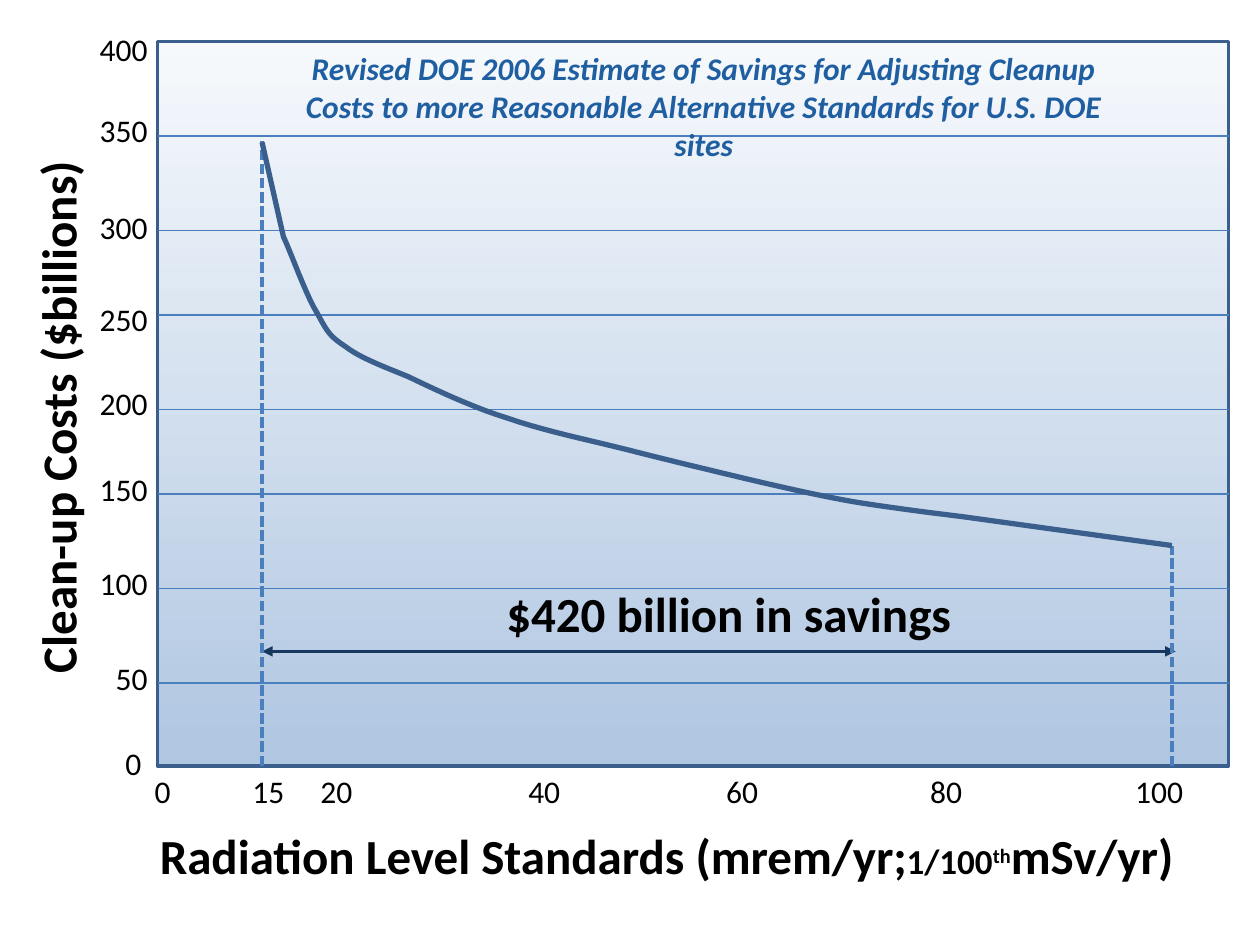
import pptx
import pptx.util
import pptx.dml.color
import pptx.enum.dml
import pptx.enum.shapes
import pptx.enum.text
import pptx.oxml.ns
from dataclasses import dataclass
from lxml import etree
from pptx.util import Inches

ALIGN = pptx.enum.text.PP_ALIGN


@dataclass(frozen=True)
class Theme:
    """Colours, font and type sizes of the slide."""
    font: str = "Calibri"
    black: str = "000000"
    white: str = "FFFFFF"
    title: str = "1F5FA1"
    frame: str = "3A5F8C"
    grid: str = "4B7EBC"
    arrow: str = "17375E"
    fade: tuple = ("F6F9FC", "B0C6E1")
    small: int = 18
    medium: int = 20
    large: int = 28


@dataclass(frozen=True)
class Box:
    """A region measured in inches."""
    left: float
    top: float
    width: float
    height: float

    @property
    def right(self):
        """Return the right edge."""
        return self.left + self.width

    @property
    def bottom(self):
        """Return the bottom edge."""
        return self.top + self.height


THEME = Theme()

GRID_OFFSETS = (0.75, 1.5, 2.17, 2.92, 3.59, 4.34, 5.09)
COST_TICKS = {400: 0.06, 350: 0.7, 300: 1.47, 250: 2.2, 200: 2.87,
              150: 3.55, 100: 4.3, 50: 5.05, 0: 5.73}
LEVEL_TICKS = {0: 0.04, 15: 0.88, 20: 1.42, 40: 3.07, 60: 4.64, 80: 6.26, 100: 7.95}
LIMIT_OFFSETS = ((0.83, 0.79), (8.05, 4.0))
CURVE_START = [(0.83, 0.8), (1.0, 1.55)]
CURVE_BENDS = [
    ((1.05, 1.65), (1.18, 2.02), (1.27, 2.16)),
    ((1.35, 2.31), (1.37, 2.34), (1.49, 2.42)),
    ((1.61, 2.51), (1.77, 2.57), (1.99, 2.66)),
    ((2.2, 2.76), (2.49, 2.9), (2.78, 2.99)),
    ((3.07, 3.09), (3.41, 3.16), (3.73, 3.24)),
    ((4.04, 3.32), (4.38, 3.4), (4.67, 3.47)),
    ((4.97, 3.54), (5.23, 3.6), (5.51, 3.65)),
    ((5.8, 3.7), (6.38, 3.77), (6.38, 3.77)),
]
CURVE_END = [(7.32, 3.9), (8.05, 4.0)]


def colour(value):
    """Turn a hex string into a colour."""
    return pptx.dml.color.RGBColor.from_string(value)


def style_line(line, value, width):
    """Set the colour and width of a line."""
    line.color.rgb = colour(value)
    line.width = pptx.util.Pt(width)


def add_line(page, start, end, value, width):
    """Draw a straight line without shadow."""
    line = page.shapes.add_connector(
        pptx.enum.shapes.MSO_CONNECTOR.STRAIGHT, *map(Inches, start + end))
    style_line(line.line, value, width)
    etree.SubElement(line._element.spPr, pptx.oxml.ns.qn("a:effectLst"))
    return line


def add_text(page, box, text, size, align=ALIGN.LEFT, bold=False, value=THEME.black):
    """Place one paragraph of text and return its shape."""
    shape = page.shapes.add_textbox(*map(Inches, (box.left, box.top, box.width, box.height)))
    shape.text_frame.word_wrap = True
    para = shape.text_frame.paragraphs[0]
    para.text = text
    para.alignment = align
    para.font.name = THEME.font
    para.font.size = pptx.util.Pt(size)
    para.font.bold = bold
    para.font.color.rgb = colour(value)
    return shape


def fill_white(shape):
    """Give a shape a white fill."""
    shape.fill.solid()
    shape.fill.fore_color.rgb = colour(THEME.white)


def add_plot_area(page, box):
    """Draw the shaded frame and its grid lines."""
    frame = page.shapes.add_shape(
        pptx.enum.shapes.MSO_SHAPE.RECTANGLE,
        *map(Inches, (box.left, box.top, box.width, box.height)))
    frame.shadow.inherit = False
    frame.fill.gradient()
    frame.fill.gradient_angle = 270
    for stop, value, position in zip(frame.fill.gradient_stops, THEME.fade, (0, 1)):
        stop.color.rgb = colour(value)
        stop.position = position
    style_line(frame.line, THEME.frame, 2)
    for offset in GRID_OFFSETS:
        height = box.top + offset
        add_line(page, (box.left, height), (box.right, height), THEME.grid, 0.75)


def bend_points(start, first, second, end, steps=10):
    """Return points along a cubic curve after its start."""
    points = []
    for step in range(1, steps + 1):
        t = step / steps
        weights = ((1 - t) ** 3, 3 * t * (1 - t) ** 2, 3 * t ** 2 * (1 - t), t ** 3)
        corners = zip(start, first, second, end)
        points.append(tuple(sum(w * c for w, c in zip(weights, axis)) for axis in corners))
    return points


def add_cost_curve(page, box):
    """Draw the curve of cost against radiation level."""
    points = list(CURVE_START)
    for bend in CURVE_BENDS:
        points += bend_points(points[-1], *bend)
    points += CURVE_END
    places = [(Inches(box.left + x), Inches(box.top + y)) for x, y in points]
    builder = page.shapes.build_freeform(*places[0])
    builder.add_line_segments(places[1:], close=False)
    curve = builder.convert_to_shape()
    curve.shadow.inherit = False
    curve.fill.background()
    style_line(curve.line, THEME.frame, 3)


def add_savings(page, box):
    """Mark the two limits and the savings between them."""
    level = box.top + 4.84
    arrow = add_line(page, (box.left + 0.83, level), (box.left + 8.08, level), THEME.arrow, 2)
    for end in ("a:headEnd", "a:tailEnd"):
        etree.SubElement(arrow.line._get_or_add_ln(), pptx.oxml.ns.qn(end), type="triangle")
    add_text(page, Box(box.left + 2.67, box.top + 4.25, 3.77, 0.57),
             "$420 billion in savings", THEME.large, bold=True)
    for across, down in LIMIT_OFFSETS:
        limit = add_line(page, (box.left + across, box.bottom),
                         (box.left + across, box.top + down), THEME.grid, 2)
        limit.line.dash_style = pptx.enum.dml.MSO_LINE.SQUARE_DOT


def add_cost_axis(page, box):
    """Write the cost labels and the turned axis title."""
    for cost, offset in COST_TICKS.items():
        inset = 0.05 if cost == 0 else 0
        place = Box(box.left - 0.68 - inset, box.top + offset - 0.2, 0.7, 0.4)
        add_text(page, place, str(cost), THEME.small, ALIGN.RIGHT)
    name = add_text(page, Box(box.left - 2.95, box.top + 2.67, 4.31, 0.57),
                    "Clean-up Costs ($billions)", THEME.large, bold=True)
    name.rotation = 270
    fill_white(name)


def add_level_axis(page, box):
    """Write the radiation level labels and the axis title."""
    for level, offset in LEVEL_TICKS.items():
        place = Box(box.left + offset - 0.35, box.bottom, 0.7, 0.4)
        add_text(page, place, str(level), THEME.small, ALIGN.CENTER)
    name = add_text(page, Box(box.left - 0.08, box.bottom + 0.42, 8.53, 0.57),
                    "Radiation Level Standards (mrem/yr;", THEME.large, bold=True)
    fill_white(name)
    para = name.text_frame.paragraphs[0]
    for text, size, raised in (("1/100", THEME.medium, False),
                               ("th", THEME.medium, True),
                               ("mSv/yr)", THEME.large, False)):
        span = para.add_run()
        span.text = text
        span.font.size = pptx.util.Pt(size)
        if raised:
            span._r.get_or_add_rPr().set("baseline", "30000")


def add_title(page, box):
    """Write the heading inside the plot area."""
    heading = add_text(
        page, box,
        "Revised DOE 2006 Estimate of Savings for Adjusting Cleanup Costs to more "
        "Reasonable Alternative Standards for U.S. DOE sites",
        THEME.small, ALIGN.CENTER, True, THEME.title)
    heading.text_frame.paragraphs[0].font.italic = True


def main():
    """Build and save the slide."""
    deck = pptx.Presentation()
    deck.slide_width, deck.slide_height = Inches(10), Inches(7.5)
    page = deck.slides.add_slide(deck.slide_layouts[6])
    plot = Box(1.25, 0.33, 8.5, 5.75)
    for draw in (add_plot_area, add_savings, add_cost_curve, add_cost_axis, add_level_axis):
        draw(page, plot)
    add_title(page, Box(2.17, 0.34, 6.83, 0.72))
    deck.save("out.pptx")


if __name__ == "__main__":
    main()
